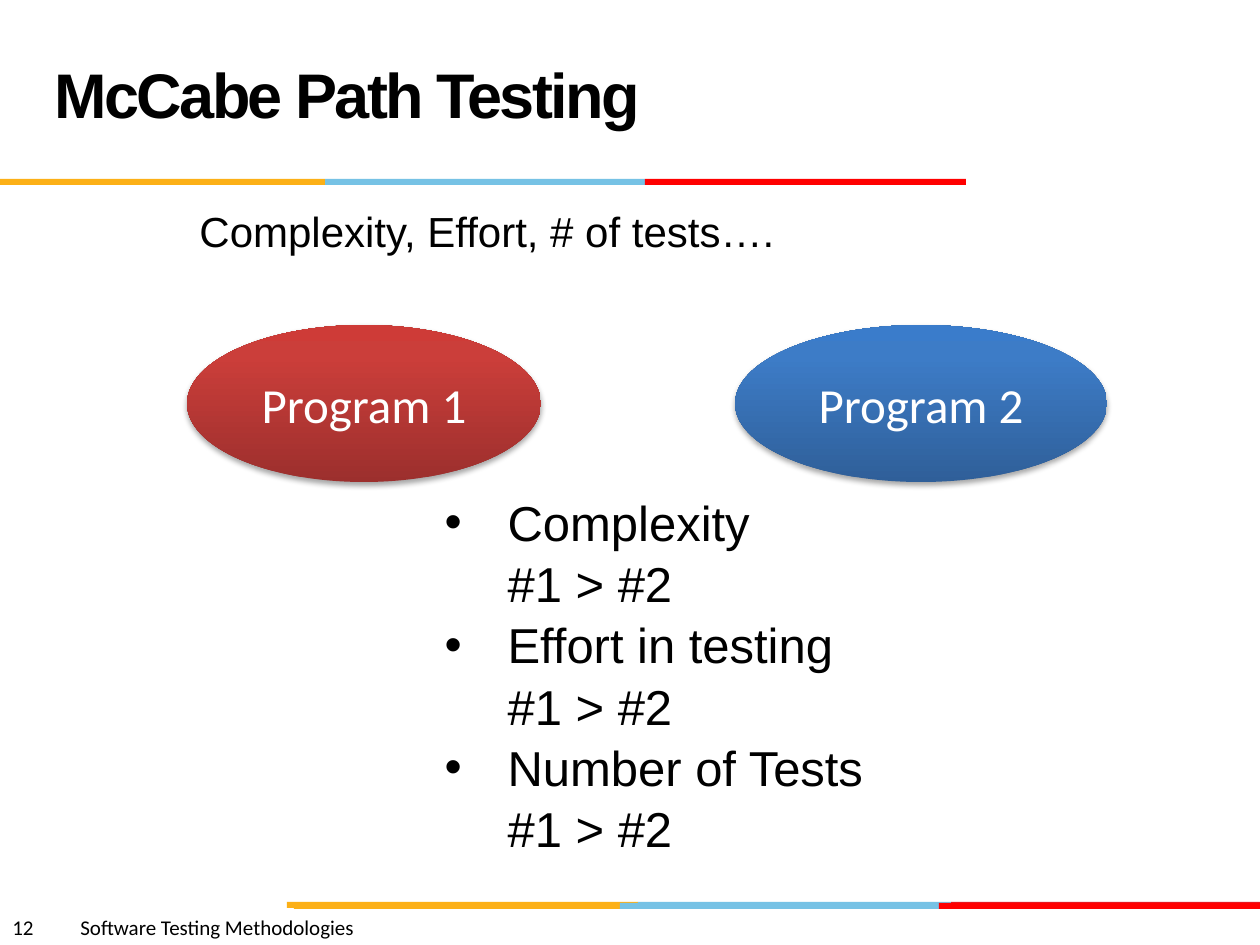
from itertools import pairwise

from lxml.etree import SubElement
from pptx import Presentation
from pptx.dml.color import RGBColor
from pptx.enum.shapes import MSO_SHAPE as SHAPE
from pptx.enum.text import MSO_ANCHOR as ANCHOR, MSO_AUTO_SIZE as AUTO_SIZE, PP_ALIGN as ALIGN
from pptx.oxml import parse_xml
from pptx.oxml.ns import nsdecls, qn
from pptx.util import Emu, Pt

EMU_PER_PX = 914400 / 126

BLACK = RGBColor(0x00, 0x00, 0x00)
WHITE = RGBColor(0xFF, 0xFF, 0xFF)
AMBER = RGBColor(0xFC, 0xB0, 0x17)
SKY = RGBColor(0x76, 0xC2, 0xE5)
CRIMSON = RGBColor(0xE3, 0x1C, 0x24)
RED = RGBColor(0xFF, 0x00, 0x00)
RED_SHADES = (RGBColor(0x9C, 0x2F, 0x2D), RGBColor(0xCB, 0x3E, 0x3A), RGBColor(0xCE, 0x3B, 0x37))
BLUE_SHADES = (RGBColor(0x2F, 0x5F, 0x99), RGBColor(0x3D, 0x7C, 0xC7), RGBColor(0x3A, 0x7C, 0xCB))


def px(length):
    return Emu(round(length * EMU_PER_PX))


def place(element, left, top, width, height):
    element.left, element.top = px(left), px(top)
    element.width, element.height = px(width), px(height)


def add_run(paragraph, text, size, font="Arial", color=BLACK, bold=False):
    run = paragraph.add_run()
    run.text = text
    run.font.size = Pt(size)
    run.font.name = font
    run.font.bold = bold
    run.font.color.rgb = color
    return run


def set_indent(paragraph, margin, indent, bullet=None):
    props = paragraph._p.get_or_add_pPr()
    props.set("marL", str(px(margin)))
    props.set("indent", str(px(indent)))
    if bullet:
        SubElement(props, qn("a:buFont"), typeface="Arial")
        SubElement(props, qn("a:buChar"), char=bullet)
    else:
        SubElement(props, qn("a:buNone"))


def add_ribbon(slide, top, edges, colors):
    for (left, right), color in zip(pairwise(edges), colors):
        band = slide.shapes.add_shape(SHAPE.RECTANGLE, px(left), px(top), px(right - left), px(6))
        band.shadow.inherit = False
        band.fill.solid()
        band.fill.fore_color.rgb = color
        band.line.fill.background()


def add_text(slide, left, top, width, height):
    box = slide.shapes.add_textbox(px(left), px(top), px(width), px(height))
    box.text_frame.word_wrap = True
    return box.text_frame.paragraphs[0]


def add_program(slide, label, left, width, shades):
    oval = slide.shapes.add_shape(SHAPE.OVAL, px(left), px(325), px(width), px(157))
    oval.line.fill.background()
    stops = "".join(
        f'<a:gs pos="{position}"><a:srgbClr val="{shade}"/></a:gs>'
        for position, shade in zip((0, 80000, 100000), shades)
    )
    props = oval._element.spPr
    props.find(qn("a:prstGeom")).addnext(parse_xml(
        f'<a:gradFill {nsdecls("a")} rotWithShape="1"><a:gsLst>{stops}</a:gsLst>'
        '<a:lin ang="16200000" scaled="0"/></a:gradFill>'
    ))
    props.append(parse_xml(
        f'<a:effectLst {nsdecls("a")}>'
        '<a:outerShdw blurRad="40000" dist="23000" dir="5400000" rotWithShape="0">'
        '<a:srgbClr val="000000"><a:alpha val="35000"/></a:srgbClr>'
        '</a:outerShdw></a:effectLst>'
    ))
    frame = oval.text_frame
    frame.word_wrap = False
    frame.vertical_anchor = ANCHOR.MIDDLE
    caption = frame.paragraphs[0]
    caption.alignment = ALIGN.CENTER
    add_run(caption, label, 28, "Calibri", WHITE)


def fill_title(title, text):
    place(title, 42, 21, 872, 158)
    frame = title.text_frame
    frame.auto_size = AUTO_SIZE.NONE
    frame.vertical_anchor = ANCHOR.MIDDLE
    heading = frame.paragraphs[0]
    heading.alignment = ALIGN.LEFT
    heading.line_spacing = Pt(36)
    run = add_run(heading, text, 36, bold=True)
    run._r.get_or_add_rPr().set("spc", "-150")


def fill_comparison(body, measures, verdict):
    place(body, 432, 486, 449, 428)
    frame = body.text_frame
    frame.auto_size = AUTO_SIZE.NONE
    lines = [line for measure in measures for line in ((measure, 0), (verdict, 1))]
    for number, (text, level) in enumerate(lines):
        paragraph = frame.add_paragraph() if number else frame.paragraphs[0]
        paragraph.level = level
        set_indent(paragraph, 63, 0 if level else -63, None if level else "•")
        paragraph.space_before = Pt(1.4 if number else 0)
        add_run(paragraph, text, 28)


def add_footer(slide, number, course):
    footer = add_text(slide, 0, 908, 630, 38)
    tabs = SubElement(footer._p.get_or_add_pPr(), qn("a:tabLst"))
    SubElement(tabs, qn("a:tab"), pos=str(px(68)), algn="l")
    add_run(footer, f"{number}\t{course}", 12, "Calibri")


def main():
    deck = Presentation()
    deck.slide_width, deck.slide_height = px(1260), px(945)
    slide = deck.slides.add_slide(deck.slide_layouts[1])

    add_ribbon(slide, 902, (287, 638, 951, 1260), (AMBER, SKY, CRIMSON))
    add_ribbon(slide, 903, (294, 620, 939, 1260), (AMBER, SKY, RED))
    add_ribbon(slide, 179, (0, 325, 645, 966), (AMBER, SKY, RED))
    add_footer(slide, 12, "Software Testing Methodologies")

    fill_title(slide.shapes.title, "McCabe Path Testing")
    topic = add_text(slide, 187, 199, 751, 611)
    add_run(topic, "Complexity, Effort, # of tests….", 24)
    add_program(slide, "Program 1", 187, 354, RED_SHADES)
    add_program(slide, "Program 2", 735, 372, BLUE_SHADES)
    fill_comparison(
        slide.placeholders[1],
        ("Complexity", "Effort in testing", "Number of Tests"),
        "#1 > #2",
    )
    deck.save("out.pptx")


if __name__ == "__main__":
    main()
